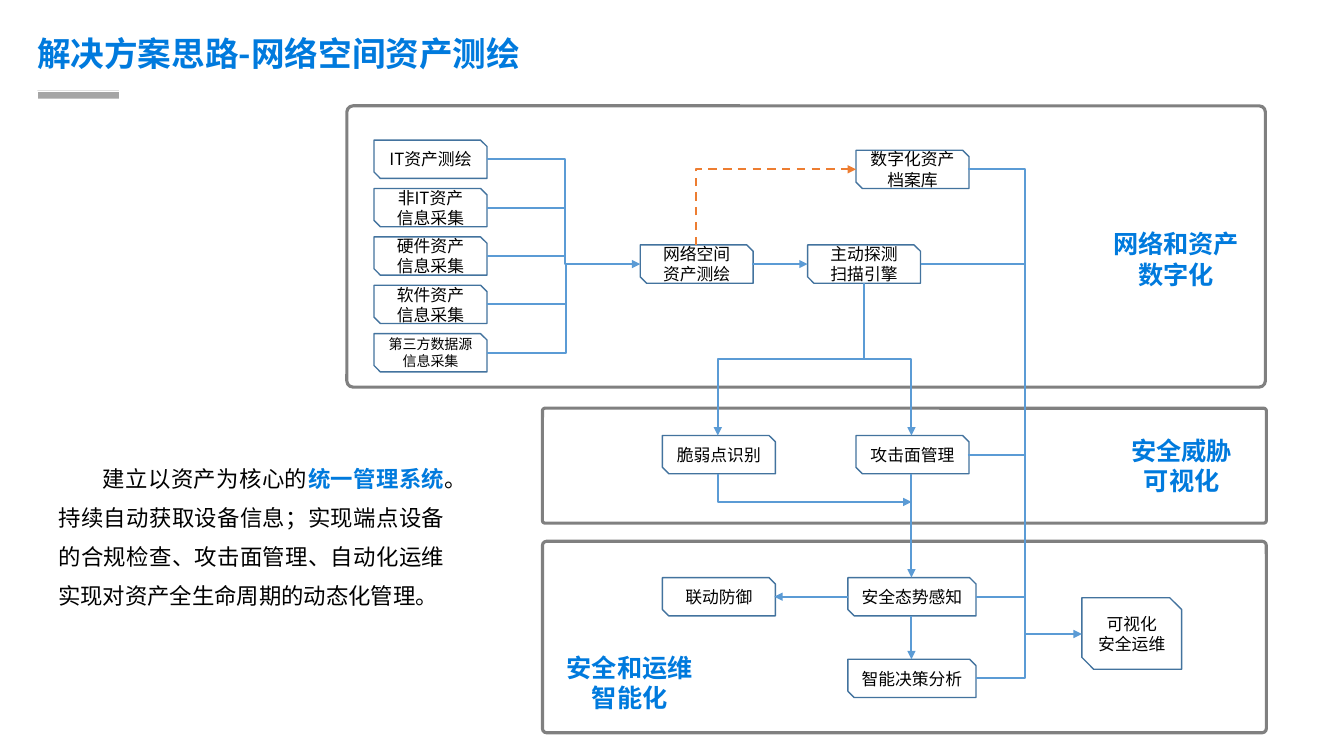
from lxml import etree
from pptx import Presentation
from pptx.dml.color import RGBColor
from pptx.enum.dml import MSO_LINE
from pptx.enum.shapes import MSO_CONNECTOR, MSO_SHAPE
from pptx.enum.text import MSO_ANCHOR, MSO_AUTO_SIZE, PP_ALIGN
from pptx.oxml.ns import qn
from pptx.util import Inches, Pt

ACCENT = RGBColor(0x00, 0x7A, 0xDD)
BLACK = RGBColor(0x00, 0x00, 0x00)
WHITE = RGBColor(0xFF, 0xFF, 0xFF)
GRAY = RGBColor(0x80, 0x80, 0x80)
BAR_GRAY = RGBColor(0xA5, 0xA5, 0xA5)
BOX_LINE = RGBColor(0x43, 0x73, 0x9E)
FLOW = RGBColor(0x5B, 0x9B, 0xD5)
ORANGE = RGBColor(0xED, 0x7D, 0x31)
CJK_FONT = "Noto Sans CJK SC"
LEFT, CENTER, JUSTIFY = PP_ALIGN.LEFT, PP_ALIGN.CENTER, PP_ALIGN.JUSTIFY
MIDDLE, TOP = MSO_ANCHOR.MIDDLE, MSO_ANCHOR.TOP
STRAIGHT, ELBOW = MSO_CONNECTOR.STRAIGHT, MSO_CONNECTOR.ELBOW
DASH = MSO_LINE.DASH
FIT_TEXT = MSO_AUTO_SIZE.SHAPE_TO_FIT_TEXT

deck = Presentation()
deck.slide_width, deck.slide_height = Inches(13.33), Inches(7.5)
page = deck.slides.add_slide(deck.slide_layouts[6])


def write(box, text, size=12, color=BLACK, bold=False, font=CJK_FONT,
          align=CENTER, anchor=MIDDLE, wrap=True, spacing=None, indent=None):
    frame = box.text_frame
    frame.word_wrap = wrap
    frame.vertical_anchor = anchor
    if not wrap:
        frame.auto_size = FIT_TEXT
    for number, line in enumerate(text.split("\n")):
        para = frame.add_paragraph() if number else frame.paragraphs[0]
        para.alignment = align
        if spacing:
            para.line_spacing = Pt(spacing)
        if indent:
            para._p.get_or_add_pPr().set("indent", str(Inches(indent)))
        for order, part in enumerate(line.split("|")):
            emphasized = order % 2 == 1
            span = para.add_run()
            span.text = part
            span.font.size = Pt(size)
            span.font.bold = bold or emphasized
            span.font.color.rgb = ACCENT if emphasized else color
            span.font.name = font
            east_asian = etree.SubElement(span._r.rPr, qn("a:ea"))
            east_asian.set("typeface", CJK_FONT)


def connect(x1, y1, x2, y2, bends=0, arrow=True, vertical=False,
            color=FLOW, dash=None, bend_at=None):
    if vertical:
        middle_x, middle_y = (x1 + x2) / 2, (y1 + y2) / 2
        half_run, half_rise = (y1 - y2) / 2, (x2 - x1) / 2
        x1, x2 = middle_x - half_run, middle_x + half_run
        y1, y2 = middle_y - half_rise, middle_y + half_rise
    link = page.shapes.add_connector(ELBOW if bends else STRAIGHT, Inches(x1),
                                     Inches(y1), Inches(x2), Inches(y2))
    link.line.color.rgb = color
    link.line.width = Pt(1.5)
    if dash:
        link.line.dash_style = dash
    properties = link.element.spPr
    if vertical:
        properties.find(qn("a:xfrm")).set("rot", "16200000")
    geometry = properties.find(qn("a:prstGeom"))
    if bends:
        geometry.set("prst", f"bentConnector{bends + 1}")
    if bend_at:
        guide = etree.SubElement(geometry.find(qn("a:avLst")), qn("a:gd"))
        guide.set("name", "adj1")
        guide.set("fmla", f"val {round(bend_at * 100000)}")
    if arrow:
        etree.SubElement(properties.find(qn("a:ln")), qn("a:tailEnd")).set("type", "triangle")
    etree.SubElement(properties, qn("a:effectLst"))


for left, top, width, height in [(3.44, 1.05, 9.11, 2.79),
                                 (5.38, 4.05, 7.18, 1.14),
                                 (5.38, 5.37, 7.18, 1.9)]:
    stage = page.shapes.add_shape(MSO_SHAPE.ROUNDED_RECTANGLE, Inches(left), Inches(top),
                                  Inches(width), Inches(height))
    stage.shadow.inherit = False
    stage.adjustments[0] = 0.022
    stage.fill.background()
    stage.line.color.rgb = GRAY
    stage.line.width = Pt(2.25)

for left, top, width, text in [(10.94, 2.22, 1.45, "网络和资产\n数字化"),
                               (11.12, 4.27, 1.2, "安全威胁\n可视化"),
                               (5.52, 6.42, 1.45, "安全和运维\n智能化")]:
    label = page.shapes.add_textbox(Inches(left), Inches(top), Inches(width), Inches(0.71))
    write(label, text, size=18, color=ACCENT, bold=True, font="Arial", anchor=TOP, wrap=False)

title = page.shapes.add_textbox(Inches(0.27), Inches(0.28), Inches(8.37), Inches(0.5))
write(title, "解决方案思路-网络空间资产测绘", size=24, color=ACCENT, bold=True,
      align=LEFT, anchor=TOP)
title_bar = page.shapes.add_shape(MSO_SHAPE.RECTANGLE, Inches(0.37), Inches(0.9),
                                  Inches(0.81), Inches(0.08))
title_bar.shadow.inherit = False
title_bar.fill.solid()
title_bar.fill.fore_color.rgb = BAR_GRAY
title_bar.line.color.rgb = WHITE
title_bar.line.width = Pt(0.25)

summary = page.shapes.add_textbox(Inches(0.48), Inches(4.44), Inches(4.03), Inches(1.67))
write(summary, "建立以资产为核心的|统一管理系统|。持续自动获取设备信息；实现端点设备的合规检查、"
      "攻击面管理、自动化运维实现对资产全生命周期的动态化管理。",
      size=16, align=JUSTIFY, anchor=TOP, spacing=28, indent=0.44)

sources = ["IT资产测绘", "非IT资产\n信息采集", "硬件资产\n信息采集",
           "软件资产\n信息采集", "第三方数据源\n信息采集"]
steps = [(3.71, 1.39 + 0.48 * row, 1.12, 0.38, text) for row, text in enumerate(sources)]
steps += [
    (6.35, 2.43, 1.12, 0.38, "网络空间\n资产测绘"),
    (8.49, 1.49, 1.12, 0.38, "数字化资产档案库"),
    (8.01, 2.43, 1.12, 0.38, "主动探测\n扫描引擎"),
    (8.49, 4.32, 1.12, 0.38, "攻击面管理"),
    (6.57, 4.32, 1.12, 0.38, "脆弱点识别"),
    (6.57, 5.73, 1.12, 0.38, "联动防御"),
    (8.41, 5.73, 1.27, 0.38, "安全态势感知"),
    (8.41, 6.54, 1.27, 0.38, "智能决策分析"),
    (10.73, 5.93, 0.99, 0.71, "可视化\n安全运维"),
]
for left, top, width, height, text in steps:
    step = page.shapes.add_shape(MSO_SHAPE.SNIP_2_DIAG_RECTANGLE, Inches(left), Inches(top),
                                 Inches(width), Inches(height))
    step.shadow.inherit = False
    step.fill.background()
    step.line.color.rgb = BOX_LINE
    step.line.width = Pt(1)
    write(step, text, size=10 if text == sources[-1] else 12)

connect(4.83, 1.58, 6.35, 2.62, bends=2, bend_at=0.51)
connect(4.83, 3.5, 5.61, 2.62, bends=1, arrow=False)
for row in range(1, 4):
    source_y = 1.58 + 0.48 * row
    connect(4.83, source_y, 5.61, source_y, arrow=False)

connect(6.9, 2.43, 8.49, 1.68, bends=1, vertical=True, color=ORANGE, dash=DASH)
connect(7.46, 2.62, 8.01, 2.62)
for target_x in (9.04, 7.12):
    connect(8.57, 2.81, target_x, 4.32, bends=2, vertical=True)
connect(7.12, 4.7, 9.04, 4.98, bends=1, vertical=True)
connect(9.04, 4.7, 9.04, 5.73)
connect(9.04, 6.11, 9.04, 6.54)
connect(8.41, 5.92, 7.68, 5.92)

connect(9.6, 1.68, 10.73, 6.29, bends=2)
connect(9.68, 6.73, 10.17, 6.29, bends=1, arrow=False)
for start_x, y in [(9.13, 2.62), (9.6, 4.51), (9.68, 5.92)]:
    connect(start_x, y, 10.17, y, arrow=False)

deck.save("out.pptx")
